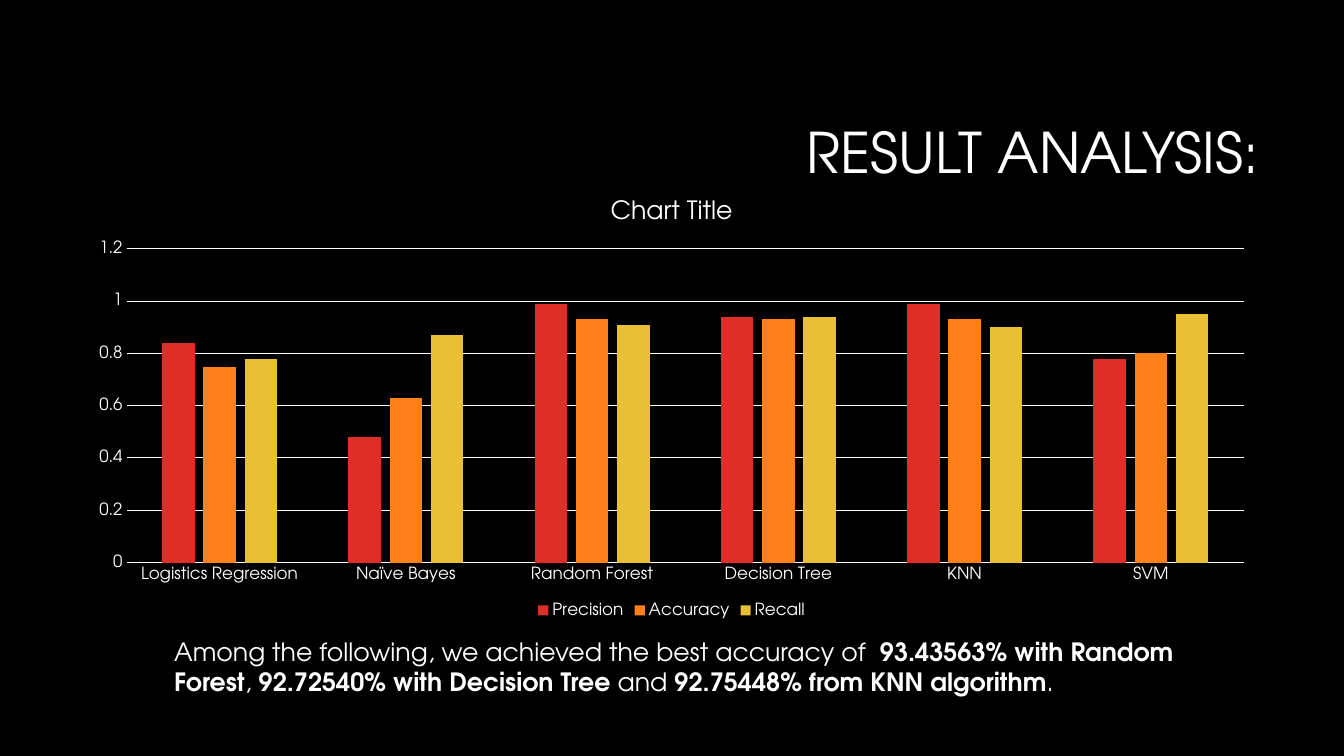
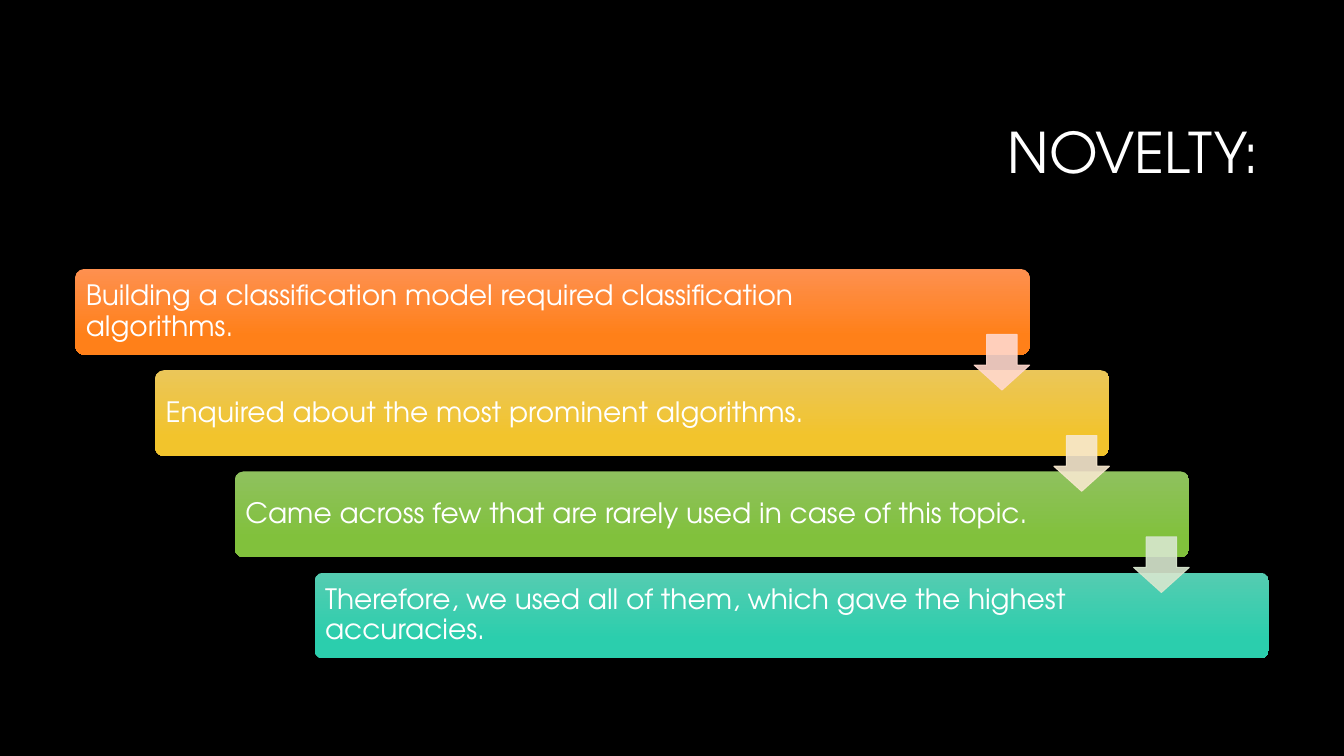
import dataclasses

import pptx
import pptx.chart.data
import pptx.dml.color
import pptx.enum.chart
import pptx.enum.shapes
import pptx.enum.text
import pptx.oxml
import pptx.util

Cm = pptx.util.Cm
Pt = pptx.util.Pt
RGB = pptx.dml.color.RGBColor.from_string


@dataclasses.dataclass(frozen=True)
class Theme:
    font: str = "TeX Gyre Adventor"
    background: str = "000000"
    text: str = "FFFFFF"
    title_size: float = 40
    step_size: float = 20
    body_size: float = 18
    chart_size: float = 12
    line_width: float = 0.75


THEME = Theme()

RESULT_TITLE = "RESULT ANALYSIS:"
CHART_TITLE = "Chart Title"
MODELS = ["Logistics Regression", "Naïve Bayes", "Random Forest",
          "Decision Tree", "KNN", "SVM"]
SCORES = [  # name, colour, values
    ("Precision", "DF2E28", (0.84, 0.48, 0.99, 0.94, 0.99, 0.78)),
    ("Accuracy", "FE801A", (0.75, 0.63, 0.93, 0.93, 0.93, 0.8)),
    ("Recall", "E9BF35", (0.78, 0.87, 0.91, 0.94, 0.9, 0.95)),
]
CONCLUSION = [  # text, bold
    ("Among the following, we achieved the best accuracy of  ", False),
    ("93.43563% with Random Forest", True),
    (", ", False),
    ("92.72540% with Decision Tree", True),
    (" and ", False),
    ("92.75448% from KNN algorithm", True),
    (".", False),
]

NOVELTY_TITLE = "NOVELTY:"
STEPS = [  # text, top colour, bottom colour
    ("Building a classification model required classification algorithms.",
     "FE904F", "FF8019"),
    ("Enquired about the most prominent algorithms.", "EBC659", "F2C42C"),
    ("Came across few that are rarely used in case of this topic.",
     "8FC15E", "81C13C"),
    ("Therefore, we used all of them, which gave the highest accuracies.",
     "55CCB1", "2BCEAD"),
]
ARROW_COLORS = ["FFD8CD", "F7E8CE", "D8E7CF"]

# Staircase geometry in centimetres
STEP_LEFT, STEP_TOP = 1.9, 6.78
STEP_WIDTH, STEP_HEIGHT = 24.05, 2.16
SHIFT_X, SHIFT_Y = 2.01, 2.55
ARROW_SIZE, ARROW_DROP = 1.4, 1.65


def style_font(font, size, bold=False):
    font.name = THEME.font
    font.size = Pt(size)
    font.bold = bold
    font.color.rgb = RGB(THEME.text)


def style_line(line):
    line.color.rgb = RGB(THEME.text)
    line.width = Pt(THEME.line_width)


def set_alpha(fill_element, percent):
    color = fill_element.find(".//" + pptx.oxml.ns.qn("a:srgbClr"))
    alpha = color.makeelement(pptx.oxml.ns.qn("a:alpha"),
                              {"val": str(percent * 1000)})
    color.append(alpha)


def prepare_layout(deck):
    """Set the shared background and title place; return the layout."""
    fill = deck.slide_master.background.fill
    fill.solid()
    fill.fore_color.rgb = RGB(THEME.background)
    layout = deck.slide_layouts.get_by_name("Title Only")
    title = layout.placeholders[0]
    title.left, title.top = Cm(8.05), Cm(2.13)
    title.width, title.height = Cm(23.93), Cm(3.58)
    return layout


def add_page(deck, layout, title):
    page = deck.slides.add_slide(layout)
    frame = page.shapes.title.text_frame
    frame.text = title
    frame.vertical_anchor = pptx.enum.text.MSO_ANCHOR.MIDDLE
    para = frame.paragraphs[0]
    para.alignment = pptx.enum.text.PP_ALIGN.RIGHT
    para.line_spacing = 0.9
    style_font(para.runs[0].font, THEME.title_size)
    return page


def add_score_chart(page):
    data = pptx.chart.data.CategoryChartData()
    data.categories = MODELS
    for name, _, values in SCORES:
        data.add_series(name, values)
    chart = page.shapes.add_chart(
        pptx.enum.chart.XL_CHART_TYPE.COLUMN_CLUSTERED,
        Cm(1.9), Cm(4.5), Cm(30.05), Cm(11.18), data).chart
    style_font(chart.font, THEME.chart_size)

    chart.has_title = True
    title = chart.chart_title
    title.include_in_layout = False
    title.text_frame.text = CHART_TITLE
    style_font(title.text_frame.paragraphs[0].runs[0].font, THEME.body_size)

    chart.has_legend = True
    chart.legend.position = pptx.enum.chart.XL_LEGEND_POSITION.BOTTOM
    chart.legend.include_in_layout = False
    style_font(chart.legend.font, THEME.chart_size)

    for axis in (chart.category_axis, chart.value_axis):
        axis.major_tick_mark = pptx.enum.chart.XL_TICK_MARK.NONE
        axis.minor_tick_mark = pptx.enum.chart.XL_TICK_MARK.NONE
        style_font(axis.tick_labels.font, THEME.chart_size)
    style_line(chart.category_axis.format.line)
    scale = chart.value_axis
    scale.minimum_scale, scale.maximum_scale, scale.major_unit = 0, 1.2, 0.2
    scale.format.line.fill.background()
    style_line(scale.major_gridlines.format.line)

    plot = chart.plots[0]
    plot.vary_by_categories = False
    plot.gap_width, plot.overlap = 219, -27
    for series, (_, color, _) in zip(plot.series, SCORES):
        series.format.fill.solid()
        series.format.fill.fore_color.rgb = RGB(color)


def add_conclusion(page):
    box = page.shapes.add_textbox(Cm(4.14), Cm(15.9), Cm(27.03), Cm(1.8))
    box.text_frame.word_wrap = True
    para = box.text_frame.paragraphs[0]
    for text, bold in CONCLUSION:
        span = para.add_run()
        span.text = text
        style_font(span.font, THEME.body_size, bold)


def add_step(page, index, text, top_color, bottom_color):
    bar = page.shapes.add_shape(
        pptx.enum.shapes.MSO_SHAPE.ROUNDED_RECTANGLE,
        Cm(STEP_LEFT + index * SHIFT_X), Cm(STEP_TOP + index * SHIFT_Y),
        Cm(STEP_WIDTH), Cm(STEP_HEIGHT))
    bar.shadow.inherit = False
    bar.adjustments[0] = 0.1
    bar.line.fill.background()
    bar.fill.gradient()
    bar.fill.gradient_angle = 270
    stops = zip(bar.fill.gradient_stops, (0, 0.78), (top_color, bottom_color))
    for stop, position, color in stops:
        stop.position = position
        stop.color.rgb = RGB(color)

    frame = bar.text_frame
    frame.word_wrap = True
    frame.vertical_anchor = pptx.enum.text.MSO_ANCHOR.MIDDLE
    frame.margin_left = frame.margin_top = frame.margin_bottom = Cm(0.2)
    frame.margin_right = Cm(3.6)  # keeps the text clear of the arrows
    frame.text = text
    para = frame.paragraphs[0]
    para.alignment = pptx.enum.text.PP_ALIGN.LEFT
    para.line_spacing = 0.9
    style_font(para.runs[0].font, THEME.step_size)


def add_step_arrow(page, index, color):
    """Add the arrow from one step down to the next, flush with its right end."""
    right = STEP_LEFT + index * SHIFT_X + STEP_WIDTH
    arrow = page.shapes.add_shape(
        pptx.enum.shapes.MSO_SHAPE.DOWN_ARROW,
        Cm(right - ARROW_SIZE), Cm(STEP_TOP + index * SHIFT_Y + ARROW_DROP),
        Cm(ARROW_SIZE), Cm(ARROW_SIZE))
    arrow.shadow.inherit = False
    arrow.adjustments[0], arrow.adjustments[1] = 0.55, 0.45
    arrow.fill.solid()
    arrow.fill.fore_color.rgb = RGB(color)
    arrow.line.color.rgb = RGB(color)
    arrow.line.width = Pt(THEME.line_width)
    properties = arrow.element.spPr
    for tag in ("a:solidFill", "a:ln"):
        set_alpha(properties.find(pptx.oxml.ns.qn(tag)), 90)


def main():
    deck = pptx.Presentation()
    deck.slide_width, deck.slide_height = Cm(33.87), Cm(19.05)
    layout = prepare_layout(deck)

    results = add_page(deck, layout, RESULT_TITLE)
    add_score_chart(results)
    add_conclusion(results)

    novelty = add_page(deck, layout, NOVELTY_TITLE)
    for index, step in enumerate(STEPS):
        add_step(novelty, index, *step)
    for index, color in enumerate(ARROW_COLORS):
        add_step_arrow(novelty, index, color)

    deck.save("out.pptx")


if __name__ == "__main__":
    main()
